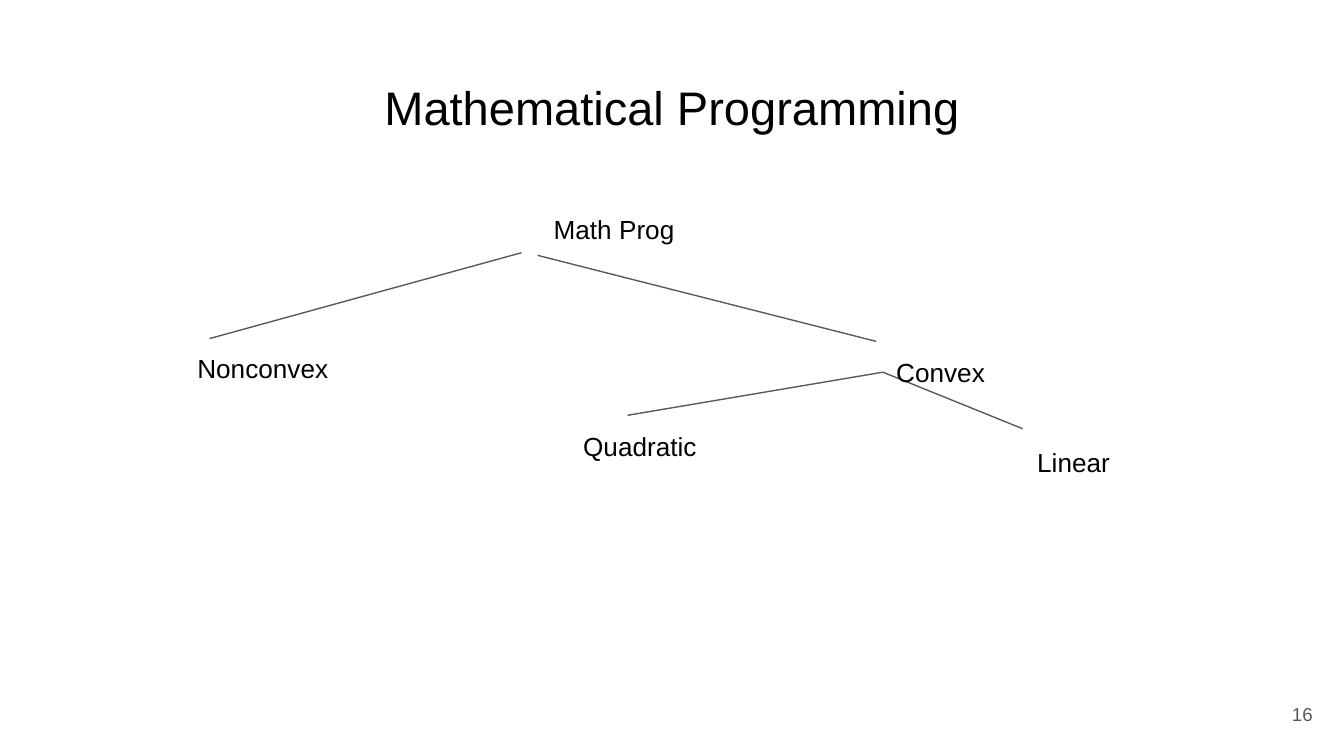
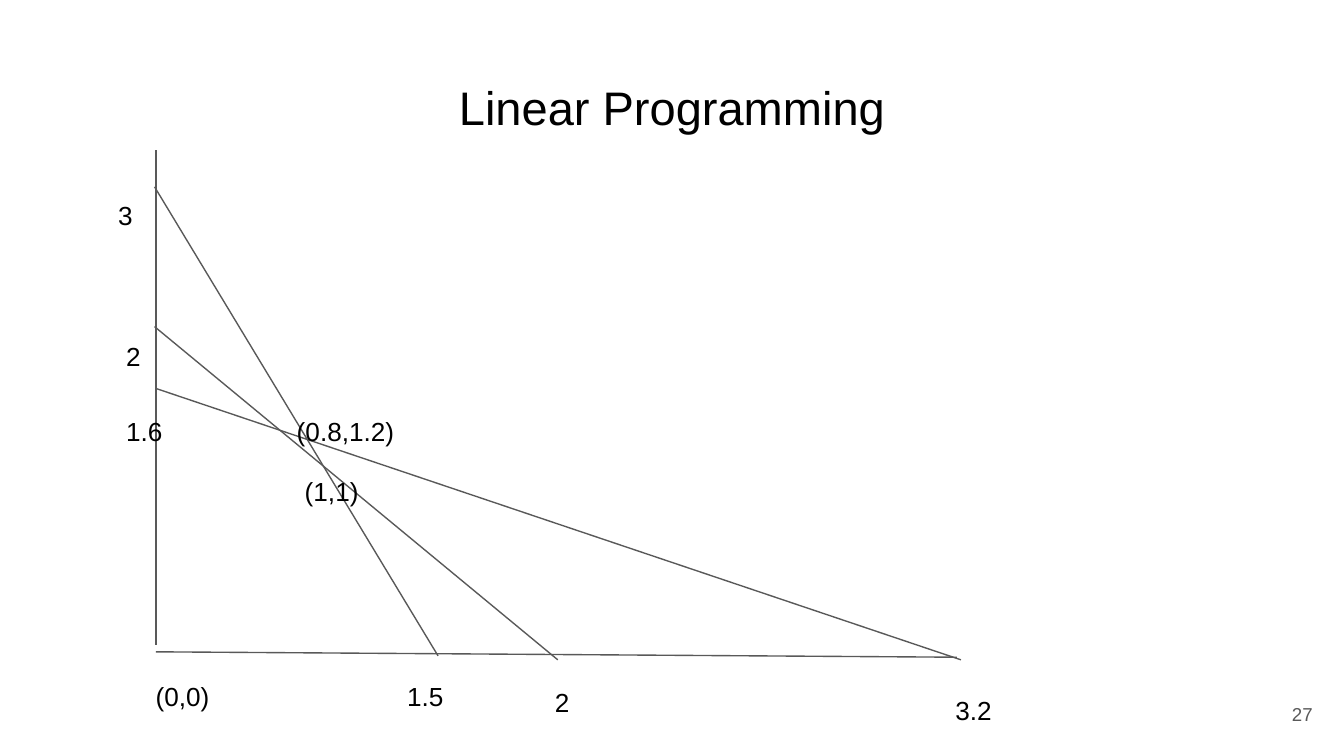
from dataclasses import dataclass

from lxml.etree import SubElement
from pptx import Presentation
from pptx.dml.color import RGBColor
from pptx.enum.shapes import MSO_CONNECTOR
from pptx.enum.text import MSO_ANCHOR, MSO_AUTO_SIZE, PP_ALIGN
from pptx.oxml.ns import qn
from pptx.presentation import Presentation as Deck
from pptx.slide import Slide
from pptx.text.text import TextFrame
from pptx.util import Pt

BLACK = RGBColor(0x00, 0x00, 0x00)
GRAY = RGBColor(0x59, 0x59, 0x59)
WHITE = RGBColor(0xFF, 0xFF, 0xFF)
FONT = "Arial"
INSET = Pt(7.2)
RIGHT_LIMIT = 721.8
LABEL_HEIGHT = 31.7
TITLE_ONLY = 5


@dataclass(frozen=True)
class Label:
    text: str
    left: float
    top: float


@dataclass(frozen=True)
class Line:
    start: tuple[float, float]
    end: tuple[float, float]


@dataclass(frozen=True)
class Diagram:
    title: str
    number: int
    label_width: float
    lines: list[Line]
    labels: list[Label]


CONVEX_FORK = (473, 199.4)
PROGRAM_TREE = Diagram(
    title="Mathematical Programming",
    number=16,
    label_width=363.6,
    lines=[
        Line((279.4, 135.4), (112.3, 181.4)),
        Line((288, 136.8), (469.4, 182.9)),
        Line(CONVEX_FORK, (336.2, 222.5)),
        Line(CONVEX_FORK, (547.9, 229.7)),
    ],
    labels=[
        Label("Math Prog", 289.5, 107.3),
        Label("Nonconvex", 98.6, 181.4),
        Label("Convex", 473, 183.6),
        Label("Quadratic", 305.3, 223.2),
        Label("Linear", 548.6, 231.8),
    ],
)

CONSTRAINT_PLOT = Diagram(
    title="Linear Programming",
    number=27,
    label_width=528.5,
    lines=[
        Line((83.5, 80.6), (83.5, 345.6)),
        Line((83.5, 349.2), (512.6, 352.1)),
        Line((82.8, 100.1), (234.7, 351.4)),
        Line((82.8, 175), (298.8, 353.5)),
        Line((83.5, 208.1), (514.8, 353.5)),
    ],
    labels=[
        Label("3", 56.2, 99.4),
        Label("2", 60.5, 175),
        Label("1.6", 60.5, 215.3),
        Label("(0,0)", 76.3, 357.1),
        Label("1.5", 211, 357.1),
        Label("2", 290.2, 360.7),
        Label("3.2", 504.7, 365),
        Label("(0.8,1.2)", 151.9, 215.3),
        Label("(1,1)", 156.2, 247.7),
    ],
)


def write_text(
    frame: TextFrame,
    text: str,
    size: float,
    color: RGBColor = BLACK,
    align: PP_ALIGN = PP_ALIGN.LEFT,
    anchor: MSO_ANCHOR = MSO_ANCHOR.TOP,
    auto_size: MSO_AUTO_SIZE = MSO_AUTO_SIZE.NONE,
) -> None:
    frame.text = text
    frame.word_wrap = True
    frame.auto_size = auto_size
    frame.vertical_anchor = anchor
    frame.margin_left = frame.margin_right = INSET
    frame.margin_top = frame.margin_bottom = INSET
    para = frame.paragraphs[0]
    para.alignment = align
    font = para.runs[0].font
    font.name = FONT
    font.size = Pt(size)
    font.color.rgb = color


def set_title(slide: Slide, text: str) -> None:
    title = slide.shapes.title
    title.left, title.top = Pt(24.5), Pt(35)
    title.width, title.height = Pt(671), Pt(45.1)
    write_text(title.text_frame, text, 25.2, align=PP_ALIGN.CENTER)


def add_page_number(slide: Slide, number: int) -> None:
    box = slide.shapes.add_textbox(Pt(667.1), Pt(367.2), Pt(43.2), Pt(31))
    write_text(box.text_frame, str(number), 10, GRAY, PP_ALIGN.RIGHT, MSO_ANCHOR.MIDDLE)


def add_line(slide: Slide, line: Line) -> None:
    points = [Pt(value) for value in (*line.start, *line.end)]
    connector = slide.shapes.add_connector(MSO_CONNECTOR.STRAIGHT, *points)
    connector.line.color.rgb = GRAY
    connector.line.width = Pt(0.75)
    SubElement(connector._element.spPr, qn("a:effectLst"))


def add_label(slide: Slide, label: Label, full_width: float) -> None:
    """Place a label, narrowing its box where it would pass the right limit."""
    width = min(full_width, RIGHT_LIMIT - label.left)
    box = slide.shapes.add_textbox(
        Pt(label.left), Pt(label.top), Pt(width), Pt(LABEL_HEIGHT)
    )
    write_text(
        box.text_frame, label.text, 14, auto_size=MSO_AUTO_SIZE.SHAPE_TO_FIT_TEXT
    )


def add_diagram(deck: Deck, diagram: Diagram) -> None:
    slide = deck.slides.add_slide(deck.slide_layouts[TITLE_ONLY])
    slide.background.fill.solid()
    slide.background.fill.fore_color.rgb = WHITE
    set_title(slide, diagram.title)
    add_page_number(slide, diagram.number)
    for line in diagram.lines:
        add_line(slide, line)
    for label in diagram.labels:
        add_label(slide, label, diagram.label_width)


def main() -> None:
    deck = Presentation()
    deck.slide_width, deck.slide_height = Pt(720), Pt(405)
    for diagram in (PROGRAM_TREE, CONSTRAINT_PLOT):
        add_diagram(deck, diagram)
    deck.save("out.pptx")


if __name__ == "__main__":
    main()
